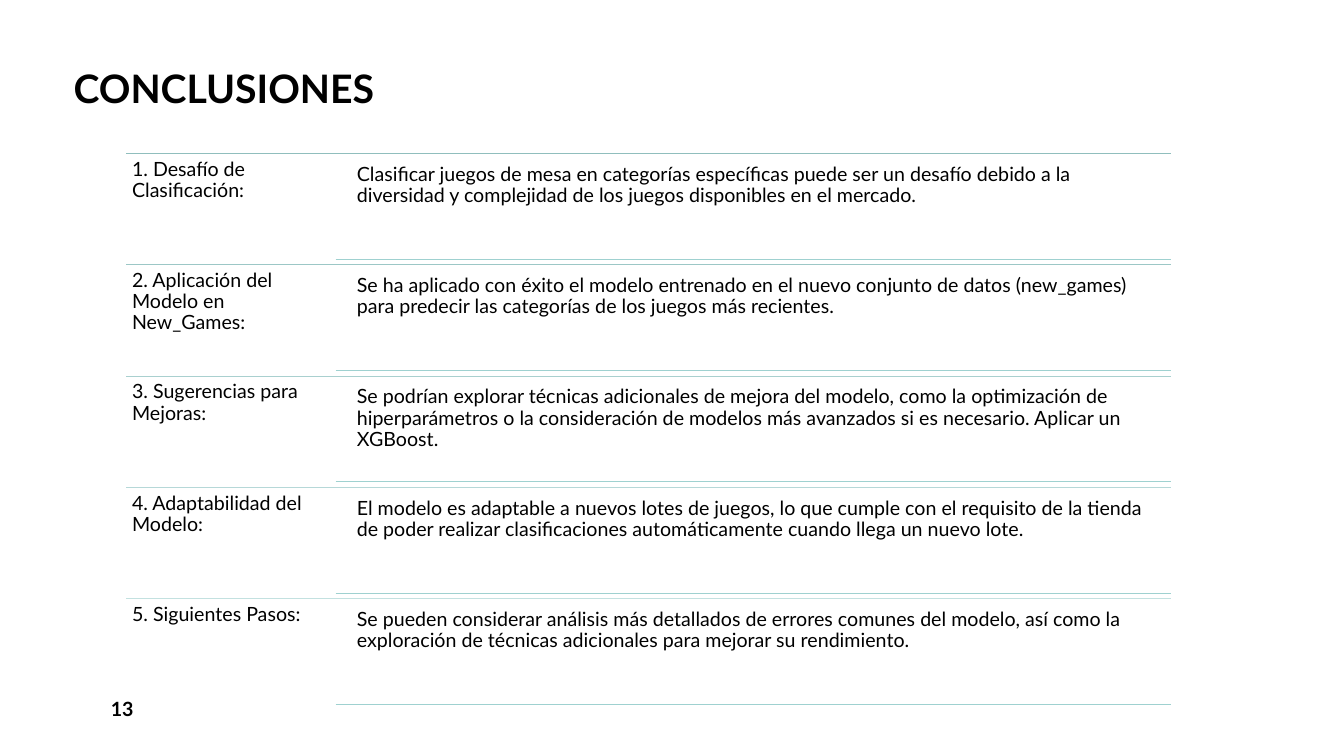
from pptx import Presentation
from pptx.dml.color import RGBColor
from pptx.enum.shapes import MSO_CONNECTOR
from pptx.enum.text import MSO_ANCHOR, MSO_AUTO_SIZE, PP_ALIGN
from pptx.oxml.ns import qn
from pptx.util import Inches, Pt
from lxml import etree

STRAIGHT = MSO_CONNECTOR.STRAIGHT
TOP, MIDDLE, BOTTOM = MSO_ANCHOR.TOP, MSO_ANCHOR.MIDDLE, MSO_ANCHOR.BOTTOM
LEFT = PP_ALIGN.LEFT
NO_AUTOFIT = MSO_AUTO_SIZE.NONE


def write(box, text, place, size=14, bold=False, anchor=TOP, spacing=0.9, inset=None):
    """Place a box and fill it with one formatted paragraph."""
    box.left, box.top, box.width, box.height = [Inches(v) for v in place]
    frame = box.text_frame
    frame.text = text
    frame_format = {"word_wrap": True, "auto_size": NO_AUTOFIT, "vertical_anchor": anchor}
    if inset is not None:
        for side in ("left", "top", "right", "bottom"):
            frame_format["margin_" + side] = Inches(inset)
    for name, value in frame_format.items():
        setattr(frame, name, value)
    paragraph = frame.paragraphs[0]
    paragraph.alignment = LEFT
    paragraph.line_spacing = spacing
    font = paragraph.runs[0].font
    for name, value in {"name": "Lato", "size": Pt(size), "bold": bold}.items():
        setattr(font, name, value)
    font.color.rgb = RGBColor.from_string("000000")


def rule(left, y, color):
    """Draw a thin horizontal line up to the right edge of the list."""
    line = slide.shapes.add_connector(
        STRAIGHT, Inches(left), Inches(y), Inches(RIGHT_EDGE), Inches(y))
    line.line.color.rgb = RGBColor.from_string(color)
    line.line.width = Pt(0.5)
    etree.SubElement(line._element.spPr, qn("a:effectLst"))


presentation = Presentation()
presentation.slide_width = Inches(13.33)
presentation.slide_height = Inches(7.5)
slide = presentation.slides.add_slide(presentation.slide_layouts[5])

# Title and page number
write(slide.shapes.title, "CONCLUSIONES", (0.63, -0.29, 11.38, 1.45),
      size=28, bold=True, anchor=BOTTOM)
page_number = slide.shapes.add_textbox(0, 0, 0, 0)
write(page_number, "13", (1, 6.83, 2.92, 0.4), bold=True, anchor=MIDDLE, spacing=1.0)

# Conclusions: heading, explanation, colour of the line above
conclusions = [
    ("1. Desafío de Clasificación:",
     "Clasificar juegos de mesa en categorías específicas puede ser un desafío debido a la "
     "diversidad y complejidad de los juegos disponibles en el mercado.", "90BEBD"),
    ("2. Aplicación del Modelo en New_Games:",
     "Se ha aplicado con éxito el modelo entrenado en el nuevo conjunto de datos (new_games) "
     "para predecir las categorías de los juegos más recientes.", "9CC7C6"),
    ("3. Sugerencias para Mejoras:",
     "Se podrían explorar técnicas adicionales de mejora del modelo, como la optimización de "
     "hiperparámetros o la consideración de modelos más avanzados si es necesario. "
     "Aplicar un XGBoost.", "A9D0CF"),
    ("4. Adaptabilidad del Modelo:",
     "El modelo es adaptable a nuevos lotes de juegos, lo que cumple con el requisito de la "
     "tienda de poder realizar clasificaciones automáticamente cuando llega un nuevo lote.",
     "B6D8D8"),
    ("5. Siguientes Pasos:",
     "Se pueden considerar análisis más detallados de errores comunes del modelo, así como la "
     "exploración de técnicas adicionales para mejorar su rendimiento.", "C3E1E0"),
]
LIST_LEFT, LIST_TOP, RIGHT_EDGE = 1.25, 1.52, 11.61
ROW_HEIGHT = 4.42 / 4

for row, (heading, explanation, color) in enumerate(conclusions):
    top = LIST_TOP + row * ROW_HEIGHT
    rule(LIST_LEFT, top, color)
    heading_box = slide.shapes.add_textbox(0, 0, 0, 0)
    write(heading_box, heading, (LIST_LEFT, top, 2.07, 1.1), inset=0.06)
    explanation_box = slide.shapes.add_textbox(0, 0, 0, 0)
    write(explanation_box, explanation, (3.48, top + 0.05, 8.13, 1), inset=0.06)
    rule(3.33, top + 1.05, "9FD1D0")

presentation.save("out.pptx")
